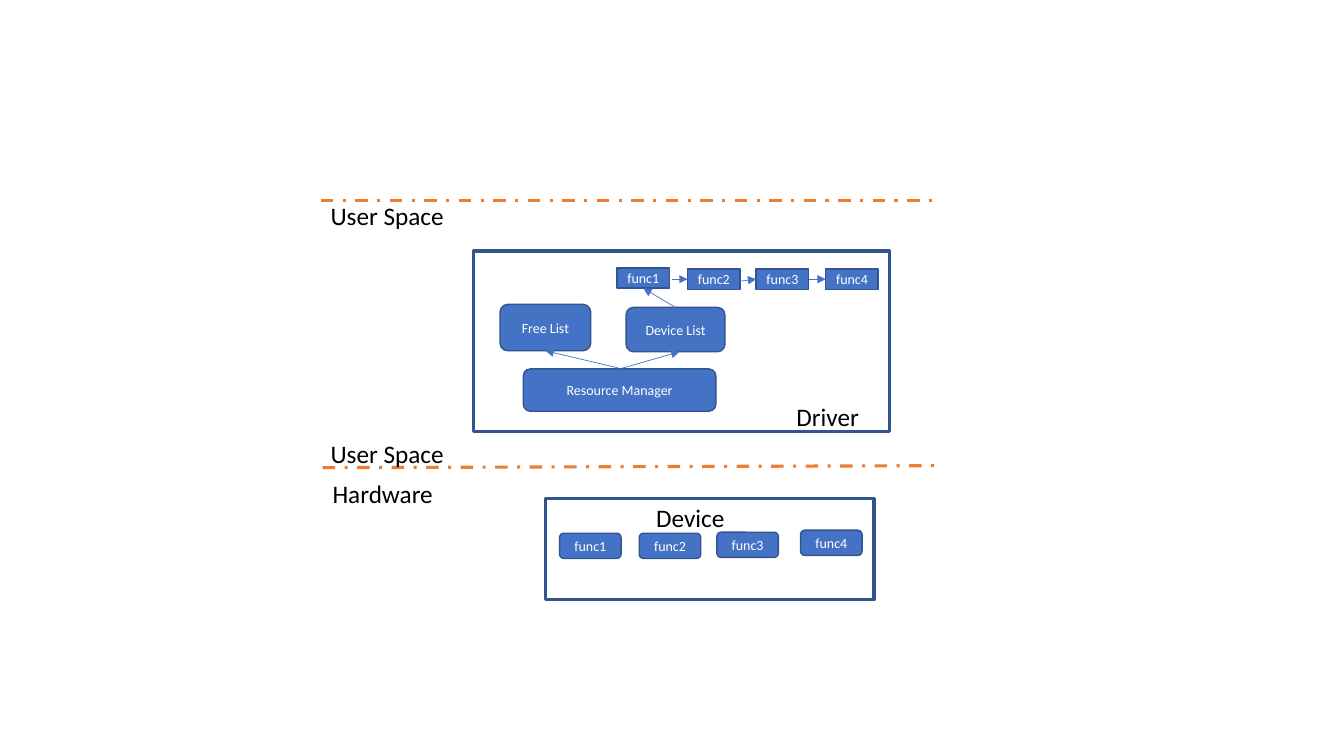
from dataclasses import dataclass

from lxml.etree import SubElement
from pptx import Presentation
from pptx.dml.color import RGBColor
from pptx.enum.dml import MSO_LINE
from pptx.enum.shapes import MSO_CONNECTOR as CONN, MSO_SHAPE as SHAPE
from pptx.enum.text import MSO_ANCHOR as ANCHOR, MSO_AUTO_SIZE as AUTO, PP_ALIGN as ALIGN
from pptx.oxml.ns import qn
from pptx.util import Inches, Pt

TOP, LEFT, BOTTOM, RIGHT = range(4)


@dataclass(frozen=True)
class Theme:
    font: str = "Calibri"
    label_size: float = 18
    block_size: float = 10
    black: str = "000000"
    white: str = "FFFFFF"
    blue: str = "4472C4"
    border: str = "325491"
    orange: str = "ED7D31"
    frame_line: float = 2.25
    block_line: float = 1
    arrow_line: float = 0.5


class Diagram:
    def __init__(self, slide, theme):
        self.theme = theme
        self.slide = slide
        self.shapes = slide.shapes

    def group(self):
        self.shapes = self.slide.shapes.add_group_shape().shapes

    def set_text(self, tf, text, size, color):
        tf.text = text
        font = tf.paragraphs[0].runs[0].font
        font.name = self.theme.font
        font.size = Pt(size)
        font.color.rgb = RGBColor.from_string(color)

    def label(self, text, x, y, w, h=0.4):
        tf = self.shapes.add_textbox(*map(Inches, (x, y, w, h))).text_frame
        tf.word_wrap = True
        tf.auto_size = AUTO.SHAPE_TO_FIT_TEXT
        self.set_text(tf, text, self.theme.label_size, self.theme.black)

    def box(self, kind, x, y, w, h, fill, width):
        s = self.shapes.add_shape(kind, *map(Inches, (x, y, w, h)))
        s.shadow.inherit = False
        s.fill.solid()
        s.fill.fore_color.rgb = RGBColor.from_string(fill)
        s.line.color.rgb = RGBColor.from_string(self.theme.border)
        s.line.width = Pt(width)
        return s

    def frame(self, x, y, w, h):
        self.box(SHAPE.RECTANGLE, x, y, w, h, self.theme.white, self.theme.frame_line)

    def block(self, text, x, y, w, h, kind=SHAPE.ROUNDED_RECTANGLE):
        s = self.box(kind, x, y, w, h, self.theme.blue, self.theme.block_line)
        tf = s.text_frame
        tf.margin_left = tf.margin_right = tf.margin_top = tf.margin_bottom = 0
        tf.vertical_anchor = ANCHOR.MIDDLE
        tf.word_wrap = True
        self.set_text(tf, text, self.theme.block_size, self.theme.white)
        tf.paragraphs[0].alignment = ALIGN.CENTER
        return s

    def line(self, start, end, color, width):
        c = self.shapes.add_connector(CONN.STRAIGHT, *map(Inches, (*start, *end)))
        c.line.color.rgb = RGBColor.from_string(color)
        c.line.width = Pt(width)
        SubElement(c._element.spPr, qn("a:effectLst"))
        return c

    def divider(self, start, end):
        c = self.line(start, end, self.theme.orange, self.theme.frame_line)
        c.line.dash_style = MSO_LINE.DASH_DOT

    def arrow(self, start, end, source=None, target=None):
        c = self.line(start, end, self.theme.blue, self.theme.arrow_line)
        ln = c._element.spPr.find(qn("a:ln"))
        SubElement(ln, qn("a:tailEnd"), type="triangle")
        if source:
            c.begin_connect(*source)
        if target:
            c.end_connect(*target)


def main():
    prs = Presentation()
    prs.slide_width, prs.slide_height = Inches(13.33), Inches(7.5)
    d = Diagram(prs.slides.add_slide(prs.slide_layouts[6]), Theme())

    d.divider((3.2, 4.64), (9.29, 4.62))
    d.divider((3.18, 1.99), (9.29, 1.99))
    d.label("Hardware", 3.2, 4.7, 1.28)
    for y in (4.3, 1.94):
        d.label("User Space", 3.18, y, 1.68)

    d.group()
    d.frame(5.41, 4.95, 3.26, 1)
    d.label("Device", 6.41, 4.93, 1.15, 0.23)
    device_spots = [(5.55, 5.29), (6.34, 5.29), (7.11, 5.28), (7.94, 5.26)]
    for i, (x, y) in enumerate(device_spots, 1):
        d.block(f"func{i}", x, y, 0.61, 0.25)

    d.group()
    d.frame(4.7, 2.49, 4.12, 1.79)
    d.label("Driver", 7.8, 3.93, 1.15)
    manager = d.block("Resource Manager", 5.19, 3.66, 1.91, 0.42)
    free = d.block("Free List", 4.96, 3.02, 0.9, 0.46)
    devices = d.block("Device List", 6.21, 3.05, 0.98, 0.44)
    list_spots = [(6.12, 2.66), (6.82, 2.67), (7.5, 2.67), (8.19, 2.67)]
    funcs = [d.block(f"func{i}", x, y, 0.52, 0.2, SHAPE.RECTANGLE)
             for i, (x, y) in enumerate(list_spots, 1)]

    d.arrow((6.7, 3.05), (6.38, 2.86), (devices, TOP), (funcs[0], BOTTOM))
    d.arrow((6.67, 2.77), (6.82, 2.77), target=(funcs[1], LEFT))
    d.arrow((7.34, 2.79), (7.5, 2.77), target=(funcs[2], LEFT))
    d.arrow((8.02, 2.77), (8.19, 2.77), (funcs[2], RIGHT), (funcs[3], LEFT))
    d.arrow((6.15, 3.66), (6.74, 3.49), source=(manager, TOP))
    d.arrow((6.13, 3.65), (5.41, 3.48), target=(free, BOTTOM))

    prs.save("out.pptx")


if __name__ == "__main__":
    main()
